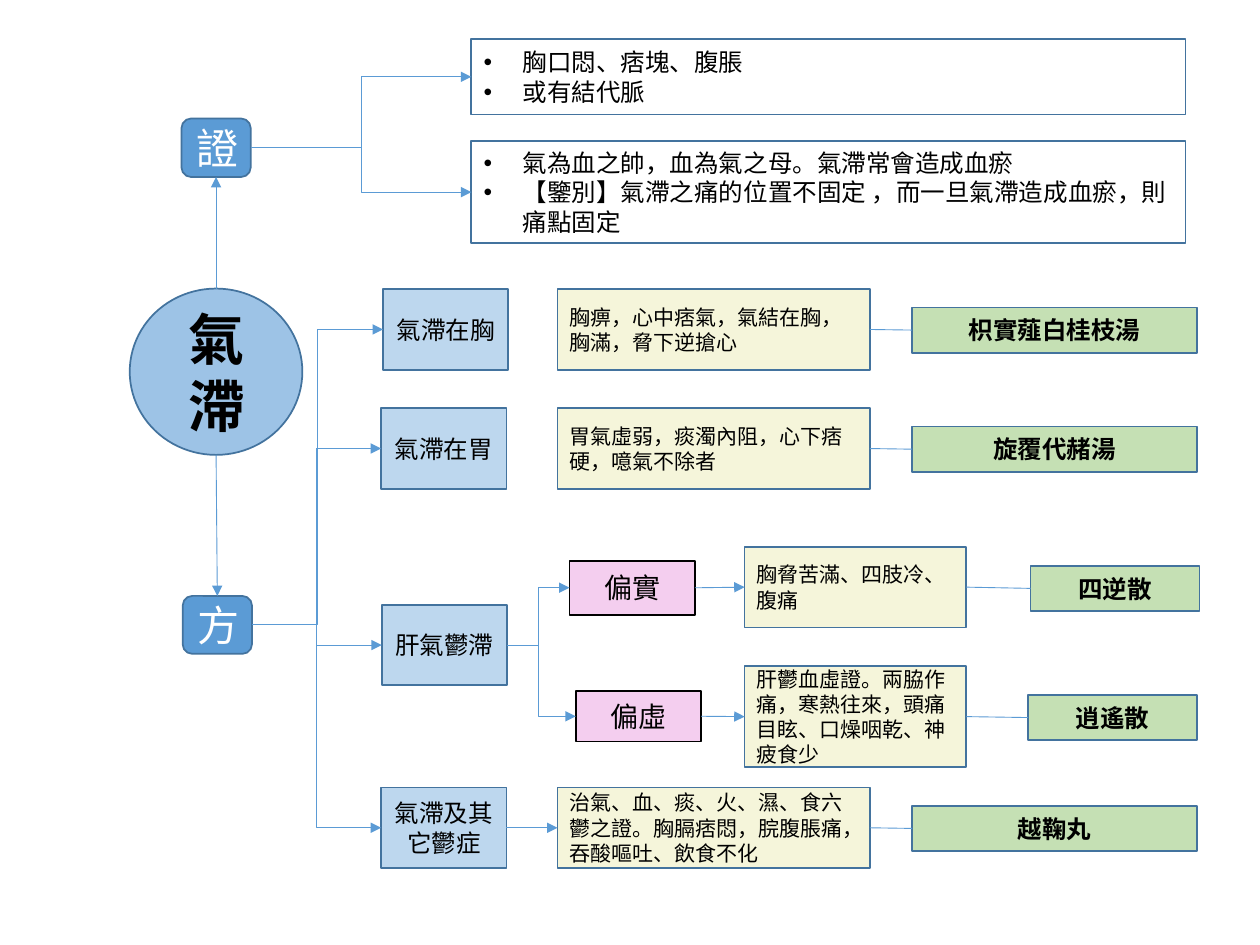
"""Build the qi stagnation diagram: signs above, formulas below."""
from dataclasses import dataclass

import pptx
import pptx.dml.color
import pptx.enum.shapes
import pptx.enum.text
import pptx.oxml.ns
import pptx.util
from lxml import etree

RGBColor = pptx.dml.color.RGBColor
MSO_SHAPE = pptx.enum.shapes.MSO_SHAPE
MSO_CONNECTOR = pptx.enum.shapes.MSO_CONNECTOR
PP_ALIGN = pptx.enum.text.PP_ALIGN
qn = pptx.oxml.ns.qn

WHITE = RGBColor(0xFF, 0xFF, 0xFF)
BLACK = RGBColor(0x00, 0x00, 0x00)
BLUE = RGBColor(0x5B, 0x9B, 0xD5)
DARK_BLUE = RGBColor(0x43, 0x73, 0x9E)
MID_BLUE = RGBColor(0x9D, 0xC3, 0xE6)
PALE_BLUE = RGBColor(0xBD, 0xD7, 0xEE)
CREAM = RGBColor(0xF5, 0xF5, 0xDA)
GREEN = RGBColor(0xC5, 0xE0, 0xB4)
PINK = RGBColor(0xF4, 0xCE, 0xEF)

SLIDE_WIDTH, SLIDE_HEIGHT = pptx.util.Inches(10), pptx.util.Inches(7.5)
COLUMN, ROW = SLIDE_WIDTH / 100, SLIDE_HEIGHT / 75
TOP, LEFT, BOTTOM, RIGHT = range(4)
BODY_FONT, BOLD_FONT = "Calibri", "Noto Sans CJK SC"


@dataclass(frozen=True)
class Style:
    """Look of one kind of box."""
    fill: RGBColor
    size: int
    geometry: MSO_SHAPE = MSO_SHAPE.RECTANGLE
    line: RGBColor = DARK_BLUE
    color: RGBColor = BLACK
    bold: bool = False
    align: PP_ALIGN = PP_ALIGN.CENTER
    bulleted: bool = False


@dataclass(frozen=True)
class Box:
    """Box placed in grid columns and rows."""
    name: str
    style: Style
    left: float
    top: float
    width: float
    height: float
    lines: tuple[str, ...]


@dataclass(frozen=True)
class Link:
    """Connector between two named boxes."""
    start: str
    end: str
    elbow: bool = False
    arrow: bool = True
    start_side: int = RIGHT
    end_side: int = LEFT
    bend: float = 0.5


TOPIC = Style(MID_BLUE, 32, MSO_SHAPE.OVAL, bold=True)
BRANCH = Style(BLUE, 24, MSO_SHAPE.ROUNDED_RECTANGLE, color=WHITE)
SIGN = Style(WHITE, 14, align=PP_ALIGN.LEFT, bulleted=True)
PATTERN = Style(PALE_BLUE, 14)
SUBTYPE = Style(PINK, 16, line=BLACK)
SYMPTOM = Style(CREAM, 12, align=PP_ALIGN.LEFT)
FORMULA = Style(GREEN, 14, bold=True)

PATTERN_WIDTH, PATTERN_HEIGHT, FORMULA_HEIGHT = 9.95, 6.4, 3.6

BOXES = [
    Box("topic", TOPIC, 10.3, 22.9, 13.7, 13.2, ("氣滯",)),
    Box("signs", BRANCH, 14.4, 9.4, 5.5, 4.65, ("證",)),
    Box("formulas", BRANCH, 14.5, 47.3, 5.5, 4.6, ("方",)),
    Box("sign list", SIGN, 37.4, 3.1, 56.7, 6, ("胸口悶、痞塊、腹脹", "或有結代脈")),
    Box("sign notes", SIGN, 37.4, 11.2, 56.7, 8.1, (
        "氣為血之帥，血為氣之母。氣滯常會造成血瘀",
        "【鑒別】氣滯之痛的位置不固定 ，而一旦氣滯造成血瘀，則痛點固定")),
    Box("liver", PATTERN, 30.3, 48, PATTERN_WIDTH, PATTERN_HEIGHT, ("肝氣鬱滯",)),
    Box("excess", SUBTYPE, 45.2, 44.5, PATTERN_WIDTH, 4.3, ("偏實",)),
    Box("deficiency", SUBTYPE, 45.7, 54.85, PATTERN_WIDTH, 4, ("偏虛",)),
]

FULL_ROWS = [
    ("chest", 30.4, 22.95, "氣滯在胸", "胸痹，心中痞氣，氣結在胸，胸滿，脅下逆搶心", "枳實薤白桂枝湯"),
    ("stomach", 30.25, 32.4, "氣滯在胃", "胃氣虛弱，痰濁內阻，心下痞硬，噫氣不除者", "旋覆代赭湯"),
    ("other", 30.25, 62.5, "氣滯及其它鬱症",
     "治氣、血、痰、火、濕、食六鬱之證。胸膈痞悶，脘腹脹痛，吞酸嘔吐、飲食不化", "越鞠丸"),
]
LIVER_ROWS = [
    ("excess", 43.4, 6.4, 81.8, 44.9, "胸脅苦滿、四肢冷、腹痛", "四逆散"),
    ("deficiency", 52.85, 8.05, 81.6, 55.15,
     "肝鬱血虛證。兩脇作痛，寒熱往來，頭痛目眩、口燥咽乾、神疲食少", "逍遙散"),
]

LINKS = [
    Link("topic", "signs", start_side=TOP, end_side=BOTTOM),
    Link("topic", "formulas", start_side=BOTTOM, end_side=TOP),
    Link("signs", "sign list", elbow=True),
    Link("signs", "sign notes", elbow=True),
    *(Link("formulas", name, elbow=True) for name in ("chest", "stomach", "liver", "other")),
    Link("liver", "excess", elbow=True),
    Link("liver", "deficiency", elbow=True, bend=0.45),
    Link("other", "other symptom"),
]

for name, left, top, pattern, symptom, formula in FULL_ROWS:
    BOXES += [
        Box(name, PATTERN, left, top, PATTERN_WIDTH, PATTERN_HEIGHT, (pattern,)),
        Box(f"{name} symptom", SYMPTOM, 44.25, top, 24.8, PATTERN_HEIGHT, (symptom,)),
        Box(f"{name} formula", FORMULA, 72.4, top + 1.45, 22.6, FORMULA_HEIGHT, (formula,)),
    ]
    LINKS.append(Link(f"{name} symptom", f"{name} formula", arrow=False))

for name, top, height, formula_left, formula_top, symptom, formula in LIVER_ROWS:
    BOXES += [
        Box(f"{name} symptom", SYMPTOM, 59.1, top, 17.6, height, (symptom,)),
        Box(f"{name} formula", FORMULA, formula_left, formula_top, 13.4, FORMULA_HEIGHT, (formula,)),
    ]
    LINKS += [
        Link(name, f"{name} symptom"),
        Link(f"{name} symptom", f"{name} formula", arrow=False),
    ]


def add_bullet(paragraph) -> None:
    """Give a paragraph a hanging round bullet."""
    properties = paragraph._p.get_or_add_pPr()
    indent = pptx.util.Inches(0.31)
    properties.set("marL", str(indent))
    properties.set("indent", str(-indent))
    etree.SubElement(properties, qn("a:buFont")).set("typeface", "Arial")
    etree.SubElement(properties, qn("a:buChar")).set("char", "•")


def add_box(slide, box: Box):
    """Draw a box with its text and return the shape."""
    style = box.style
    shape = slide.shapes.add_shape(
        style.geometry, round(box.left * COLUMN), round(box.top * ROW),
        round(box.width * COLUMN), round(box.height * ROW))
    shape.shadow.inherit = False
    shape.fill.solid()
    shape.fill.fore_color.rgb = style.fill
    shape.line.color.rgb = style.line
    shape.line.width = pptx.util.Pt(1)
    frame = shape.text_frame
    frame.word_wrap = True
    frame.vertical_anchor = pptx.enum.text.MSO_ANCHOR.MIDDLE
    for index, line in enumerate(box.lines):
        paragraph = frame.add_paragraph() if index else frame.paragraphs[0]
        paragraph.alignment = style.align
        if style.bulleted:
            add_bullet(paragraph)
        run = paragraph.add_run()
        run.text = line
        run.font.size = pptx.util.Pt(style.size)
        run.font.color.rgb = style.color
        run.font.bold = style.bold
        run.font.name = BOLD_FONT if style.bold else BODY_FONT
        if style.bold:
            etree.SubElement(run._r.get_or_add_rPr(), qn("a:ea")).set("typeface", BOLD_FONT)
    return shape


def add_link(slide, shapes: dict, link: Link) -> None:
    """Draw a connector between the sides of two boxes."""
    start, end = shapes[link.start], shapes[link.end]
    kind = MSO_CONNECTOR.ELBOW if link.elbow else MSO_CONNECTOR.STRAIGHT
    connector = slide.shapes.add_connector(
        kind, start.left + start.width // 2, start.top + start.height, end.left, end.top)
    if start.auto_shape_type != MSO_SHAPE.OVAL or link.start_side == TOP:
        connector.begin_connect(start, link.start_side)
    connector.end_connect(end, link.end_side)
    connector.line.color.rgb = BLUE
    connector.line.width = pptx.util.Pt(0.5)
    properties = connector._element.spPr
    etree.SubElement(properties, qn("a:effectLst"))
    if link.arrow:
        etree.SubElement(connector.line._get_or_add_ln(), qn("a:tailEnd")).set("type", "triangle")
    if link.elbow:
        guide = etree.SubElement(properties.prstGeom.get_or_add_avLst(), qn("a:gd"))
        guide.set("name", "adj1")
        guide.set("fmla", f"val {round(link.bend * 100000)}")


def main() -> None:
    """Create the presentation and save it."""
    presentation = pptx.Presentation()
    presentation.slide_width, presentation.slide_height = SLIDE_WIDTH, SLIDE_HEIGHT
    slide = presentation.slides.add_slide(presentation.slide_layouts[6])
    shapes = {box.name: add_box(slide, box) for box in BOXES}
    for link in LINKS:
        add_link(slide, shapes, link)
    presentation.save("out.pptx")


if __name__ == "__main__":
    main()
